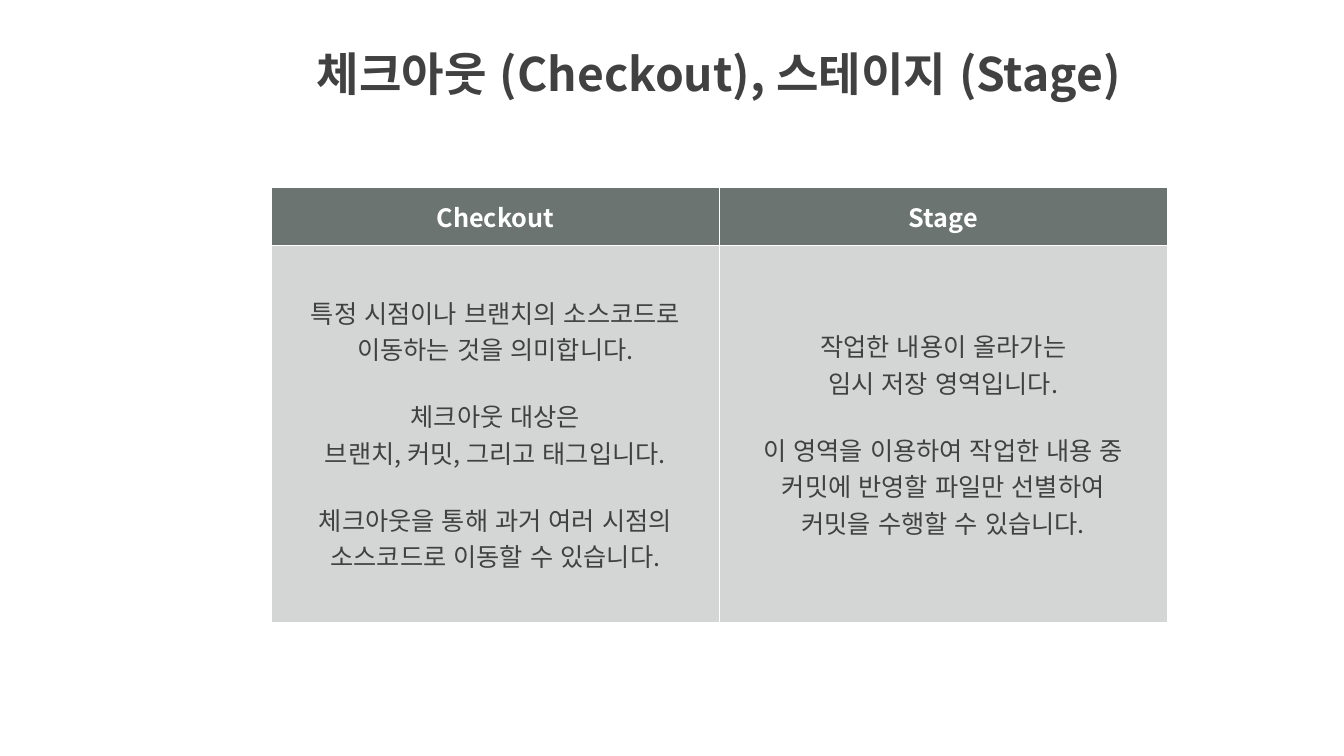
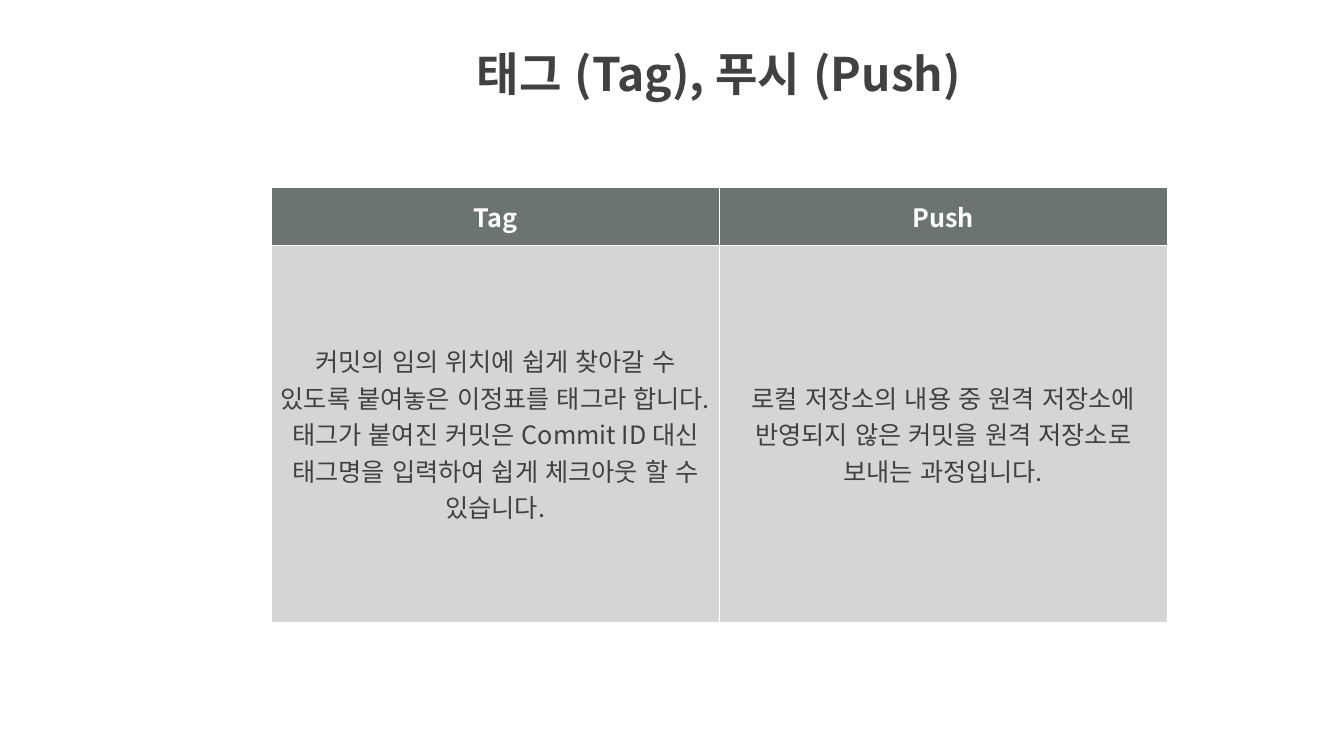
from lxml import etree
from pptx import Presentation
from pptx.dml.color import RGBColor
from pptx.enum import lang, text
from pptx.oxml.ns import qn
from pptx.util import Inches, Pt

FONT = "Noto Sans CJK KR"
COLORS = {"ink": "414141", "white": "FFFFFF", "header": "6C7472", "body": "D4D6D5"}
TITLE_BOX = [Inches(n) for n in (2.13, 0.41, 14.76, 1.11)]
TABLE_BOX = [Inches(n) for n in (3.59, 2.48, 11.85, 5.75)]
HEADER_HEIGHT = Inches(0.77)
THIN, THICK = Pt(0.45), Pt(1.47)
GROUP_GAP = Pt(29)

# Each column is a heading and groups of lines; a gap separates the groups.
SLIDES = [
    ("체크아웃 (Checkout), 스테이지 (Stage)", [
        ("Checkout", [
            ["특정 시점이나 브랜치의 소스코드로", "이동하는 것을 의미합니다."],
            ["체크아웃 대상은", "브랜치, 커밋, 그리고 태그입니다."],
            ["체크아웃을 통해 과거 여러 시점의", "소스코드로 이동할 수 있습니다."],
        ]),
        ("Stage", [
            ["작업한 내용이 올라가는", "임시 저장 영역입니다."],
            ["이 영역을 이용하여 작업한 내용 중", "커밋에 반영할 파일만 선별하여",
             "커밋을 수행할 수 있습니다."],
        ]),
    ]),
    ("태그 (Tag), 푸시 (Push)", [
        ("Tag", [["커밋의 임의 위치에 쉽게 찾아갈 수 있도록 붙여놓은 이정표를 태그라 합니다. "
                  "태그가 붙여진 커밋은 Commit ID 대신 태그명을 입력하여 쉽게 체크아웃 할 수 있습니다."]]),
        ("Push", [["로컬 저장소의 내용 중 원격 저장소에 반영되지 않은 커밋을 "
                   "원격 저장소로 보내는 과정입니다."]]),
    ]),
]


def style_paragraph(para, size, color, bold):
    para.alignment = text.PP_ALIGN.CENTER
    for span in para.runs:
        font = span.font
        font.name, font.size, font.bold = FONT, Pt(size), bold
        font.color.rgb = RGBColor.from_string(COLORS[color])
        font.language_id = lang.MSO_LANGUAGE_ID.KOREAN
        east_asian = etree.SubElement(span._r.get_or_add_rPr(), qn("a:ea"))
        east_asian.set("typeface", FONT)


def add_title(page, box, wording):
    title = page.shapes.title
    title.left, title.top, title.width, title.height = box
    frame = title.text_frame
    frame.text = wording
    frame.word_wrap = True
    frame.auto_size = text.MSO_AUTO_SIZE.NONE
    frame.vertical_anchor = text.MSO_ANCHOR.MIDDLE
    frame.margin_left = frame.margin_top = frame.margin_right = frame.margin_bottom = 0
    style_paragraph(frame.paragraphs[0], 44, "ink", True)


def style_cell(cell, fill, top, bottom):
    """Fill the cell and draw white borders, with the given top and bottom widths."""
    cell.vertical_anchor = text.MSO_ANCHOR.MIDDLE
    properties = cell._tc.get_or_add_tcPr()
    for side, width in (("L", THIN), ("R", THIN), ("T", top), ("B", bottom)):
        line = etree.SubElement(properties, qn(f"a:ln{side}"), w=str(int(width)))
        solid = etree.SubElement(line, qn("a:solidFill"))
        etree.SubElement(solid, qn("a:srgbClr"), val=COLORS["white"])
    cell.fill.solid()
    cell.fill.fore_color.rgb = RGBColor.from_string(COLORS[fill])


def fill_header(cell, heading):
    style_cell(cell, "header", THIN, THICK)
    cell.text_frame.text = heading
    style_paragraph(cell.text_frame.paragraphs[0], 24, "white", True)


def fill_body(cell, groups):
    style_cell(cell, "body", THICK, THIN)
    frame = cell.text_frame
    frame.text = "\n".join(line for group in groups for line in group)
    for para in frame.paragraphs:
        style_paragraph(para, 24, "ink", False)
    start = 0
    for group in groups[:-1]:
        start += len(group)
        frame.paragraphs[start].space_before = GROUP_GAP


def add_comparison(page, box, columns):
    left, top, width, height = box
    table = page.shapes.add_table(2, len(columns), left, top, width, height).table
    table.rows[0].height = HEADER_HEIGHT
    table.rows[1].height = height - HEADER_HEIGHT
    for index, (heading, groups) in enumerate(columns):
        fill_header(table.cell(0, index), heading)
        fill_body(table.cell(1, index), groups)


def main():
    deck = Presentation()
    deck.slide_width, deck.slide_height = Inches(17.78), Inches(10)
    title_only = deck.slide_layouts[5]
    for wording, columns in SLIDES:
        page = deck.slides.add_slide(title_only)
        add_title(page, TITLE_BOX, wording)
        add_comparison(page, TABLE_BOX, columns)
    deck.save("out.pptx")


if __name__ == "__main__":
    main()
